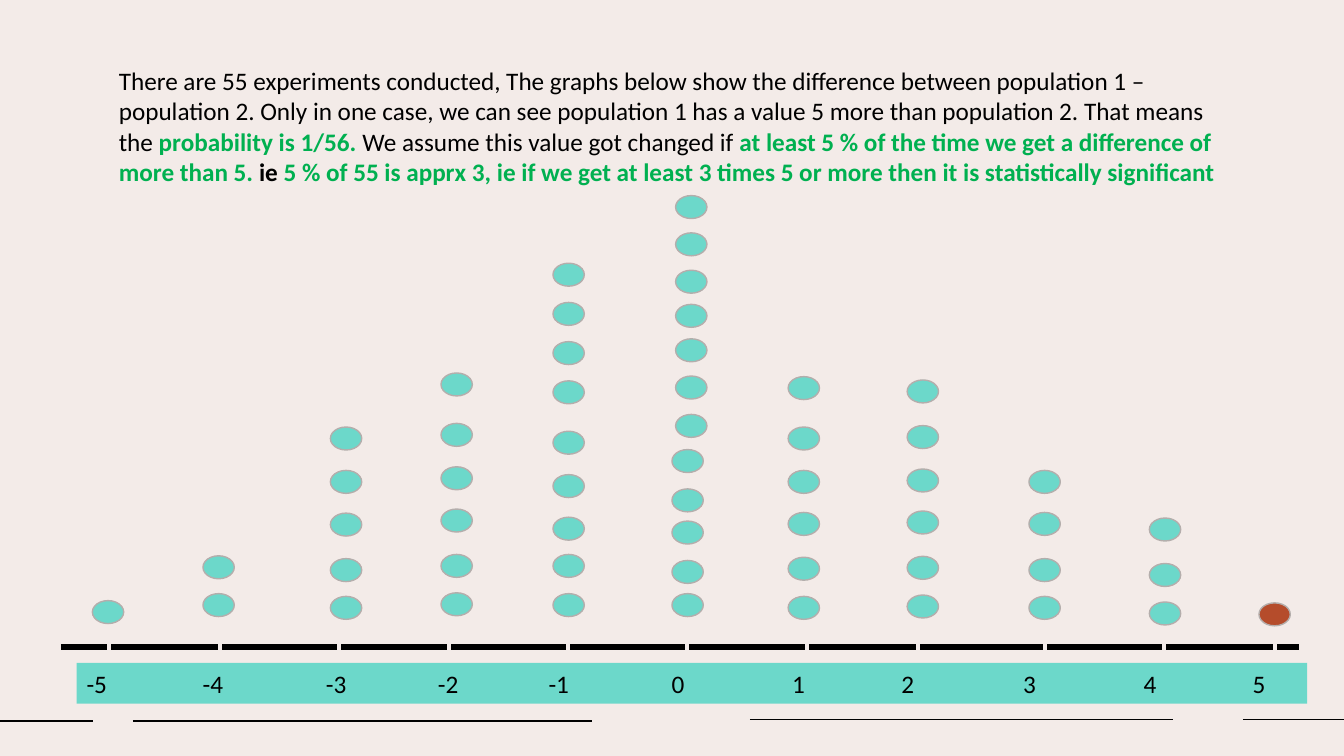
from lxml.etree import SubElement as SubEl
from pptx import Presentation as Deck
from pptx.dml.color import RGBColor as RGB
from pptx.enum.shapes import MSO_CONNECTOR as Link, MSO_SHAPE as Form
from pptx.enum.text import MSO_ANCHOR as Anchor, PP_ALIGN as Align
from pptx.oxml.ns import qn
from pptx.util import Pt

BACK = RGB(0xF3, 0xEB, 0xE8)
BLACK = RGB(0, 0, 0)
TEAL = RGB(0x6C, 0xD8, 0xCA)
RUST = RGB(0xB5, 0x4C, 0x2B)
EDGE = RGB(0xB4, 0xAE, 0xAC)
GREEN = RGB(0x00, 0xB0, 0x50)
FONT = "Calibri"

RULES = [(0, 66.2, 515), (95, 422.6, 515), (535.7, 838, 514), (887.8, 960, 514)]
TICKS = [77.8, 157, 242, 321, 406, 491, 576.7, 656, 746.6, 831.6, 910.8]
TABS = [83, 171, 251, 330, 418, 504, 582, 669, 755, 833]
STACKS = [
    (66, [429]),
    (145, [424, 397]),
    (236, [426, 399, 366.5, 336, 305]),
    (315, [423.4, 396, 363.6, 333.4, 302.4, 266.4]),
    (395, [424, 396, 369.4, 339, 308, 272, 244, 216, 188]),
    (480, [424, 400.3, 372.2, 349.2, 321.1]),
    (482.6, [296, 268.6, 242, 217.4, 193, 166.3, 139.7]),
    (563, [426, 398, 366, 336, 305, 269]),
    (648, [425, 397.4, 365, 335, 304, 271.4]),
    (735, [426, 399, 366, 336]),
    (821, [430, 402.5, 370]),
]
NOTE = [
    ("There are 55 experiments conducted, The graphs below show the difference "
     "between population 1 –population 2. Only in one case, we can see population 1 "
     "has a value 5 more than population 2. That means the ", BLACK, False),
    ("probability is 1/56. ", GREEN, True),
    ("We assume this value got changed if ", BLACK, False),
    ("at least 5 % of the time we get a difference of more than 5. ", GREEN, True),
    ("ie ", BLACK, True),
    ("5 % of 55 is apprx 3, ie if we get at least 3 times 5 or more then "
     "it is statistically significant", GREEN, True),
]


def add_line(slide, start, end, color, width):
    """Draw a straight line without a shadow."""
    line = slide.shapes.add_connector(Link.STRAIGHT, *map(Pt, start + end))
    line.line.color.rgb = color
    line.line.width = Pt(width)
    SubEl(line._element.spPr, qn("a:effectLst"))


def add_form(slide, form, box, fill):
    """Add a plain filled shape."""
    shape = slide.shapes.add_shape(form, *map(Pt, box))
    shape.shadow.inherit = False
    shape.fill.solid()
    shape.fill.fore_color.rgb = fill
    shape.line.fill.background()
    return shape


def add_dot(slide, left, top, fill):
    """Add one outlined dot of the plot."""
    dot = add_form(slide, Form.OVAL, (left, top, 22.4, 16.4), fill)
    dot.line.color.rgb = EDGE
    dot.line.width = Pt(1)


def add_scale(slide):
    """Add the axis, its ticks and the band of tabbed values."""
    add_line(slide, (43.4, 462.2), (928, 462.2), BLACK, 4.5)
    for left in TICKS:
        add_line(slide, (left, 454.3), (left, 469.4), BACK, 3)
    band = add_form(slide, Form.RECTANGLE, (54.7, 473.5, 879, 29.1), TEAL)
    frame = band.text_frame
    frame.vertical_anchor = Anchor.MIDDLE
    para = frame.paragraphs[0]
    para.text = "\t".join(map(str, range(-5, 6)))
    para.alignment = Align.LEFT
    para.font.name = FONT
    para.font.size = Pt(18)
    para.font.color.rgb = BLACK
    props = para._p.get_or_add_pPr()
    stops = SubEl(props, qn("a:tabLst"))
    props.insert(0, stops)
    for stop in TABS:
        SubEl(stops, qn("a:tab"), pos=str(Pt(stop)), algn="l")


def add_note(slide):
    """Add the paragraph that explains the plot."""
    box = slide.shapes.add_textbox(Pt(77.8), Pt(43.2), Pt(816.5), Pt(94.5))
    box.text_frame.word_wrap = True
    para = box.text_frame.paragraphs[0]
    para.font.name = FONT
    para.font.size = Pt(18)
    for text, color, bold in NOTE:
        run = para.add_run()
        run.text = text
        run.font.color.rgb = color
        run.font.bold = bold


def main():
    """Build the dot plot slide and save it."""
    deck = Deck()
    deck.slide_width, deck.slide_height = Pt(960), Pt(540)
    slide = deck.slides.add_slide(deck.slide_layouts[6])
    slide.background.fill.solid()
    slide.background.fill.fore_color.rgb = BACK
    for left, right, top in RULES:
        add_line(slide, (left, top), (right, top), BLACK, 1)
    add_scale(slide)
    for left, tops in STACKS:
        for top in tops:
            add_dot(slide, left, top, TEAL)
    add_dot(slide, 899.3, 430.6, RUST)
    add_note(slide)
    deck.save("out.pptx")


if __name__ == "__main__":
    main()
